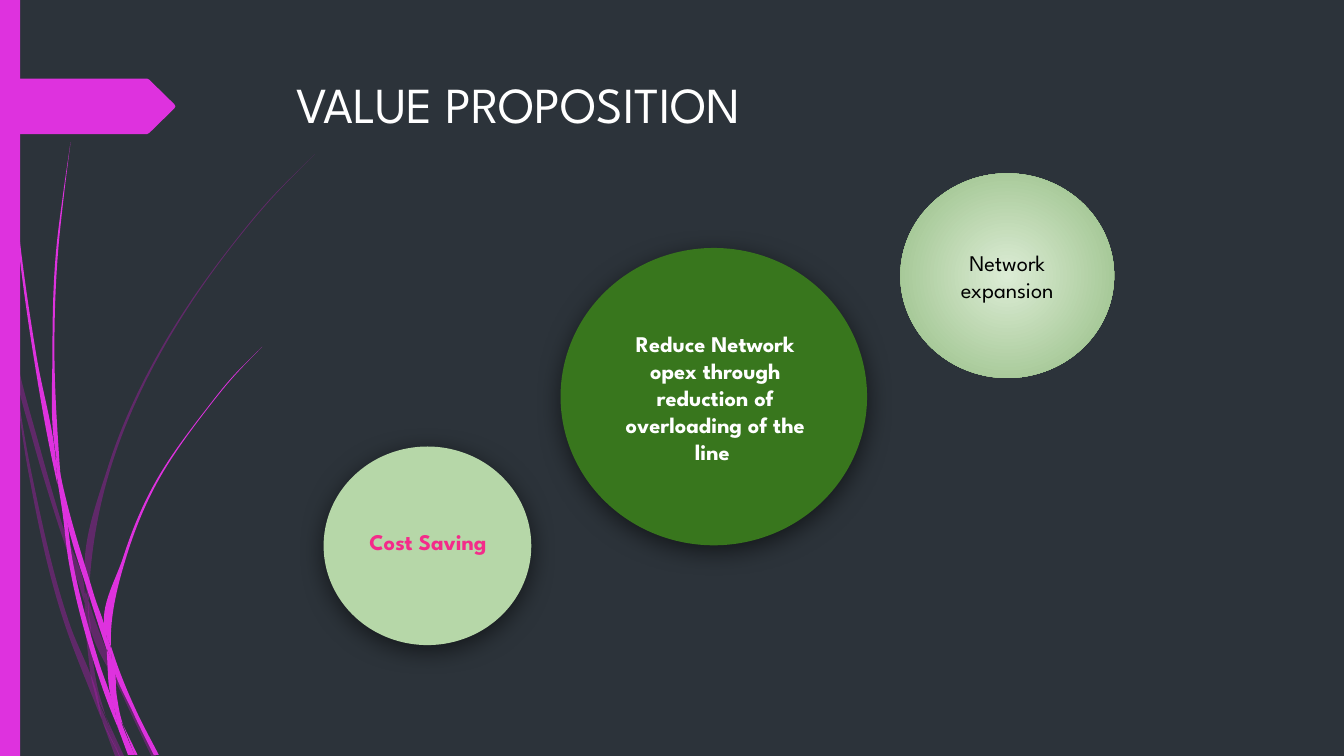
from lxml import etree
from pptx import Presentation
from pptx.dml.color import RGBColor
from pptx.enum.shapes import MSO_SHAPE as Preset
from pptx.enum.text import MSO_ANCHOR as Anchor, PP_ALIGN as Align
from pptx.oxml import parse_xml
from pptx.oxml.ns import nsdecls, qn
from pptx.util import Inches, Pt

COLORS = {
    "background": "2C333A", "accent": "DE32DE", "dim": "B01CB0",
    "white": "FFFFFF", "black": "000000", "pink": "F42B8A",
    "dark_green": "38761D", "light_green": "B6D7A8",
    "glow_center": "DCECD5", "glow_edge": "93BC81",
}
FONT = "League Spartan"

# Each blade of grass runs downwards through (x, y, horizontal thickness)
DIM_BLADES = [
    [(0, 2.82, 0), (0.02, 2.99, 0.04), (0.08, 3.3, 0.03), (0.11, 3.5, 0)],
    [(0.14, 3.45, 0), (0.19, 3.76, 0.04), (0.34, 4.33, 0.05), (0.6, 5.21, 0.04),
     (0.82, 5.86, 0.04), (0.84, 5.99, 0)],
    [(0.88, 5.96, 0), (0.9, 6.1, 0.05), (1.25, 6.93, 0.04), (1.53, 7.51, 0.05)],
    [(1.05, 7.11, 0), (1.21, 7.51, 0.05)],
    [(0.11, 3.5, 0), (0.3, 4.7, 0.03), (0.67, 6.2, 0.05), (0.95, 6.93, 0.05), (1.01, 7.14, 0)],
    [(0.84, 5.99, 0), (0.86, 6.1, 0.04), (0.89, 6.46, 0.04), (0.95, 6.83, 0.04), (1.05, 7.11, 0)],
    [(3.12, 1.53, 0), (2.68, 1.98, 0.01), (2.29, 2.45, 0.01), (1.59, 3.49, 0.02),
     (1.09, 4.62, 0.03), (0.87, 5.84, 0.03), (0.88, 5.96, 0)],
    [(1.01, 7.14, 0), (1.17, 7.51, 0.05)],
    [(0.85, 5.86, 0), (0.86, 5.97, 0.04), (0.88, 6.1, 0)],
    [(0.93, 6.83, 0), (0.98, 6.99, 0.02), (1.03, 7.13, 0.04), (1.19, 7.51, 0)],
]
BRIGHT_BLADES = [
    [(0.04, 0, 0.01), (0.05, 0.48, 0.01), (0.08, 1.1, 0.01), (0.18, 2.33, 0.02),
     (0.35, 3.55, 0.03), (0.53, 4.53, 0.04), (0.57, 4.81, 0)],
    [(0.6, 4.72, 0), (0.66, 5.05, 0.04), (0.91, 5.91, 0.05), (1.04, 6.33, 0.04), (1.06, 6.45, 0)],
    [(1.1, 6.41, 0), (1.13, 6.56, 0.04), (1.34, 7.07, 0.04), (1.55, 7.49, 0.05)],
    [(0.57, 4.77, 0), (0.63, 5.05, 0.03), (0.7, 5.56, 0.04), (0.96, 6.58, 0.05),
     (1.12, 7.05, 0.04), (1.17, 7.22, 0)],
    [(0.7, 1.41, 0), (0.63, 1.93, 0.01), (0.57, 2.45, 0.02), (0.53, 3.49, 0.02),
     (0.57, 4.51, 0.03), (0.6, 4.72, 0)],
    [(1.22, 7.19, 0), (1.35, 7.49, 0.03)],
    [(0.55, 4.49, 0), (0.59, 4.76, 0.04), (0.64, 5.05, 0)],
    [(2.6, 3.44, 0), (2.31, 3.74, 0.01), (2.05, 4.06, 0.01), (1.57, 4.75, 0.02),
     (1.24, 5.52, 0.03), (1.08, 6.32, 0.04), (1.1, 6.41, 0)],
    [(1.17, 7.22, 0), (1.29, 7.49, 0.04)],
    [(1.06, 6.45, 0), (1.09, 6.56, 0.05), (1.13, 6.91, 0.06), (1.18, 7.1, 0.03), (1.22, 7.19, 0)],
    [(1.06, 6.31, 0), (1.08, 6.43, 0.04), (1.11, 6.56, 0)],
    [(1.1, 6.91, 0), (1.15, 7.05, 0.02), (1.19, 7.2, 0.05), (1.32, 7.49, 0.03)],
]


def paint(shape, color, alpha=None):
    shape.shadow.inherit = False
    shape.line.fill.background()
    shape.fill.solid()
    shape.fill.fore_color.rgb = RGBColor.from_string(COLORS[color])
    if alpha is not None:
        srgb = shape._element.spPr.find(qn("a:solidFill")).find(qn("a:srgbClr"))
        etree.SubElement(srgb, qn("a:alpha")).set("val", str(alpha * 1000))


def write(shape, text, *, size=16, color="white", bold=False,
          align=Align.CENTER, anchor=Anchor.MIDDLE, inset=0.1):
    frame = shape.text_frame
    frame.word_wrap = True
    frame.vertical_anchor = anchor
    frame.margin_left = frame.margin_right = Inches(0.1)
    frame.margin_top = frame.margin_bottom = Inches(inset)
    paragraph = frame.paragraphs[0]
    paragraph.alignment = align
    run = paragraph.add_run()
    run.text = text
    run.font.size, run.font.name, run.font.bold = Pt(size), FONT, bold
    run.font.color.rgb = RGBColor.from_string(COLORS[color])


def add_soft_shadow(shape):
    effects = shape._element.spPr.find(qn("a:effectLst"))
    effects.append(parse_xml(
        f'<a:outerShdw {nsdecls("a")} blurRad="{Pt(18)}" dist="{Pt(4)}" dir="5400000" '
        f'rotWithShape="0"><a:srgbClr val="{COLORS["black"]}">'
        '<a:alpha val="55000"/></a:srgbClr></a:outerShdw>'))


def add_glow_fill(shape):
    """Fill from the centre outwards."""
    shape.fill.gradient()
    for stop, color in zip(shape.fill.gradient_stops, ("glow_center", "glow_edge")):
        stop.color.rgb = RGBColor.from_string(COLORS[color])
    gradient = shape._element.spPr.find(qn("a:gradFill"))
    gradient.replace(gradient.find(qn("a:lin")), parse_xml(
        f'<a:path {nsdecls("a")} path="circle">'
        '<a:fillToRect l="50000" t="50000" r="50000" b="50000"/></a:path>'))


def with_slopes(edge):
    """Extend each (x, y) of an edge by its slope dx/dy."""
    pairs = list(zip(edge, edge[1:]))
    secants = [(x1 - x0) / (y1 - y0) for (x0, y0), (x1, y1) in pairs]
    heights = [end[1] - start[1] for start, end in pairs]
    inner = [(s0 * h1 + s1 * h0) / (h0 + h1) for s0, s1, h0, h1
             in zip(secants, secants[1:], heights, heights[1:])]
    slopes = [secants[0], *inner, secants[-1]]
    return [(x, y, slope) for (x, y), slope in zip(edge, slopes)]


def add_outline(shapes, points, color, alpha=None):
    corners = [(Inches(x), Inches(y)) for x, y in points]
    builder = shapes.build_freeform(*corners[0])
    builder.add_line_segments(corners[1:], close=True)
    shape = builder.convert_to_shape()
    paint(shape, color, alpha)
    return shape


def add_blade(shapes, knots, color, alpha):
    left = with_slopes([(x - w / 2, y) for x, y, w in knots])
    right = with_slopes([(x + w / 2, y) for x, y, w in knots])
    rim = left + right[::-1]
    shape = add_outline(shapes, [(x, y) for x, y, _ in rim], color, alpha)
    # Bend the straight sides
    origin_x, origin_y = min(x for x, _, _ in rim), min(y for _, y, _ in rim)
    lines = list(shape._element.spPr.iter(qn("a:lnTo")))
    for line, (x0, y0, slope0), (x1, y1, slope1) in zip(lines, rim, rim[1:]):
        if y0 == y1:
            continue
        third = (y1 - y0) / 3
        curve = etree.Element(qn("a:cubicBezTo"))
        for x, y in ((x0 + slope0 * third, y0 + third), (x1 - slope1 * third, y1 - third)):
            etree.SubElement(curve, qn("a:pt"), x=str(Inches(x - origin_x)),
                             y=str(Inches(y - origin_y)))
        curve.append(line[0])
        line.getparent().replace(line, curve)


def add_blades(slide, blades, color, alpha=None):
    group = slide.shapes.add_group_shape()
    for knots in blades:
        add_blade(group.shapes, knots, color, alpha)


def add_side_decoration(slide, left, top, width, height):
    add_blades(slide, DIM_BLADES, "dim", 40)
    add_blades(slide, BRIGHT_BLADES, "accent")
    # Side strip and arrow tag
    strip = slide.shapes.add_shape(Preset.RECTANGLE, *map(Inches, (left, top, width, height)))
    paint(strip, "accent")
    tag_top, tag_bottom, tip = top + 0.78, top + 1.33, left + 1.74
    middle = (tag_top + tag_bottom) / 2
    add_outline(slide.shapes, [
        (left, tag_top), (tip - 0.28, tag_top), (tip - 0.26, tag_top + 0.01),
        (tip - 0.01, middle - 0.02), (tip, middle), (tip - 0.01, middle + 0.02),
        (tip - 0.26, tag_bottom - 0.01), (tip - 0.28, tag_bottom), (left, tag_bottom),
    ], "accent")


def add_title(slide, box):
    title = slide.shapes.add_textbox(*map(Inches, box))
    write(title, "VALUE PROPOSITION", size=36, align=Align.LEFT,
          anchor=Anchor.TOP, inset=0.05)


def add_bubble(slide, box, fill, text, color, label_box):
    """Shadowed circle with a label placed relative to its corner."""
    group = slide.shapes.add_group_shape()
    circle = group.shapes.add_shape(Preset.OVAL, *map(Inches, box))
    paint(circle, fill)
    add_soft_shadow(circle)
    dx, dy, width, height = label_box
    label = group.shapes.add_textbox(
        *map(Inches, (box[0] + dx, box[1] + dy, width, height)))
    write(label, text, color=color, bold=True)


def add_glow_bubble(slide, box, text):
    circle = slide.shapes.add_shape(Preset.OVAL, *map(Inches, box))
    paint(circle, "light_green")
    add_glow_fill(circle)
    write(circle, text, color="black")


def main():
    presentation = Presentation()
    presentation.slide_width, presentation.slide_height = Inches(13.33), Inches(7.5)
    slide = presentation.slides.add_slide(presentation.slide_layouts[6])
    slide.background.fill.solid()
    slide.background.fill.fore_color.rgb = RGBColor.from_string(COLORS["background"])

    add_side_decoration(slide, 0, 0, 0.2, 7.5)
    add_title(slide, (2.84, 0.68, 9.75, 1.4))
    add_glow_bubble(slide, (8.93, 1.72, 2.12, 2.03), "Network expansion")
    add_bubble(slide, (5.56, 2.46, 3.04, 2.95), "dark_green",
               "Reduce Network opex through reduction of overloading of the line ",
               "white", (0.4, 0.78, 2.27, 1.41))
    add_bubble(slide, (3.21, 4.43, 2.06, 1.97), "light_green",
               "Cost Saving", "pink", (0.01, 0.32, 2.05, 1.24))
    presentation.save("out.pptx")


if __name__ == "__main__":
    main()
